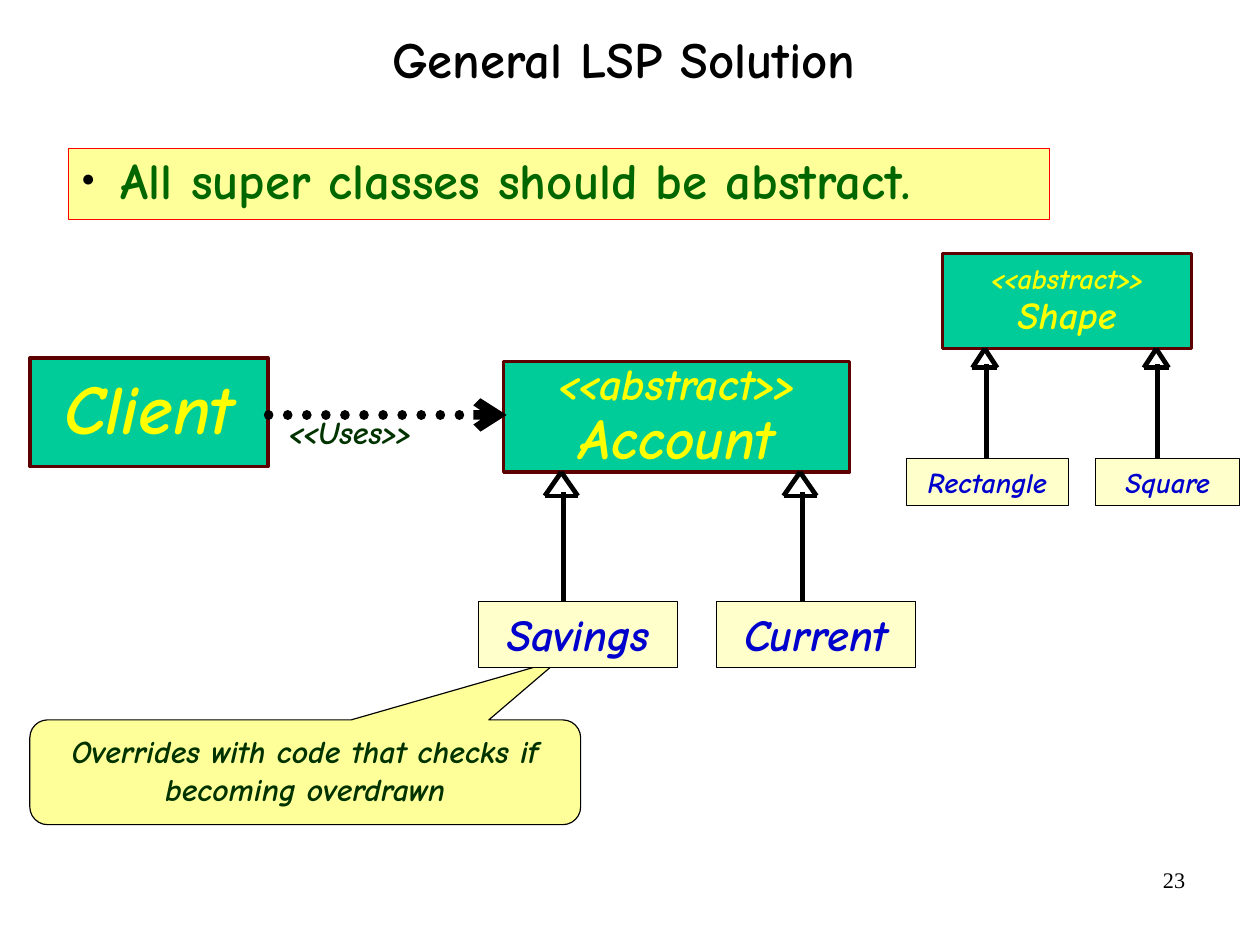
from lxml import etree
from pptx import Presentation
from pptx.dml.color import RGBColor
from pptx.enum import dml, shapes, text
from pptx.oxml import ns
from pptx.util import Pt

BLACK = RGBColor(0x00, 0x00, 0x00)
RED = RGBColor(0xFF, 0x00, 0x00)
YELLOW = RGBColor(0xFF, 0xFF, 0x00)
PALE_YELLOW = RGBColor(0xFF, 0xFF, 0x99)
CREAM = RGBColor(0xFF, 0xFF, 0xCC)
TEAL = RGBColor(0x00, 0xCC, 0x99)
MAROON = RGBColor(0x5C, 0x00, 0x00)
BLUE = RGBColor(0x00, 0x00, 0xCC)
GREEN = RGBColor(0x00, 0x66, 0x00)
DARK_GREEN = RGBColor(0x00, 0x33, 0x00)

SHAPE = shapes.MSO_SHAPE
ALIGN = text.PP_ALIGN
ANCHOR = text.MSO_ANCHOR
HAND = "Comic Neue"
INSET = (8, 4, 8, 4)


def set_all(target, **values):
    for name, value in values.items():
        setattr(target, name, value)


def place(box, area):
    for name, value in zip(("left", "top", "width", "height"), area):
        setattr(box, name, Pt(value))


def paint(box, fill, line, width):
    box.fill.solid()
    box.fill.fore_color.rgb = fill
    box.line.color.rgb = line
    box.line.width = Pt(width)


def write(box, lines, color, align=ALIGN.CENTER, anchor=ANCHOR.TOP, inset=INSET,
          spacing=1.0, name=HAND, bold=True, italic=True):
    """Fill a box with (wording, size) paragraphs."""
    frame = box.text_frame
    set_all(frame, word_wrap=True, auto_size=text.MSO_AUTO_SIZE.NONE, vertical_anchor=anchor)
    for side, value in zip(("left", "top", "right", "bottom"), inset):
        setattr(frame, f"margin_{side}", Pt(value))
    for index, (wording, size) in enumerate(lines):
        para = frame.add_paragraph() if index else frame.paragraphs[0]
        set_all(para, alignment=align, line_spacing=spacing, space_before=Pt(0))
        span = para.add_run()
        span.text = wording
        set_all(span.font, name=name, size=Pt(size), bold=bold, italic=italic)
        span.font.color.rgb = color


def add_box(page, area, fill, line, width, kind=SHAPE.RECTANGLE):
    box = page.shapes.add_shape(kind, *map(Pt, area))
    box.shadow.inherit = False
    paint(box, fill, line, width)
    return box


def add_line(page, start, end, width=3):
    line = page.shapes.add_connector(shapes.MSO_CONNECTOR.STRAIGHT, *map(Pt, (*start, *end)))
    line.line.color.rgb = BLACK
    line.line.width = Pt(width)
    etree.SubElement(line._element.spPr, ns.qn("a:effectLst"))
    return line


def add_title(page, area):
    place(page.shapes.title, area)
    write(page.shapes.title, [("General LSP Solution", 32)], BLACK, anchor=ANCHOR.MIDDLE,
          inset=(0, 0, 0, 0), spacing=0.88, italic=False)


def add_rule(page, area):
    body = page.placeholders[1]
    place(body, area)
    paint(body, PALE_YELLOW, RED, 0.75)
    write(body, [("All super classes should be abstract.", 32)], GREEN,
          align=ALIGN.LEFT, inset=(0, 0, 0, 0), italic=False)
    para = body.text_frame.paragraphs[0]
    para.space_after = Pt(13.8)
    props = para._p.get_or_add_pPr()
    props.set("marL", str(Pt(33)))
    props.set("indent", str(Pt(-25)))
    color = etree.SubElement(props, ns.qn("a:buClr"))
    etree.SubElement(color, ns.qn("a:srgbClr"), val=str(BLACK))
    etree.SubElement(props, ns.qn("a:buSzPct"), val="45000")
    etree.SubElement(props, ns.qn("a:buChar"), char="●")


def add_class(page, area, lines):
    box = add_box(page, area, TEAL, MAROON, 2)
    write(box, lines, YELLOW, anchor=ANCHOR.MIDDLE, spacing=0.9)


def add_inheritance(page, tip, head, bottom, shift):
    """Draw a hollow triangle below its tip, and a stem down to the subclass."""
    x, y = tip
    half, height = head
    add_line(page, (x + shift, y + height - 2.5), (x + shift, bottom))
    corners = [tip, (x + half, y + height), (x - half, y + height)]
    for index, corner in enumerate(corners):
        add_line(page, corners[index - 1], corner)


def add_hierarchy(page, area, parent, children, size, head, shift):
    """Draw a superclass with (name, area, tip x) subclasses under it."""
    add_class(page, area, parent)
    base = area[1] + area[3]
    for name, child_area, tip_x in children:
        box = add_box(page, child_area, CREAM, BLACK, 0.75)
        write(box, [(name, size)], BLUE)
        add_inheritance(page, (tip_x, base), head, child_area[1], shift)


def add_uses(page, area):
    """Draw the dotted arrow along the top of the area, with its label below."""
    left, top, width, height = area
    arrow = add_line(page, (left, top), (left + width, top), 6)
    arrow.line.dash_style = dml.MSO_LINE.ROUND_DOT
    line = arrow.line._get_or_add_ln()
    line.set("cap", "rnd")
    etree.SubElement(line, ns.qn("a:tailEnd"), type="arrow")
    label = page.shapes.add_textbox(*map(Pt, (left + 6, top, width - 24, height)))
    write(label, [("<<Uses>>", 20)], DARK_GREEN, align=ALIGN.LEFT,
          inset=(7.2, 3.6, 7.2, 3.6), spacing=0.8)


def add_callout(page, area):
    box = add_box(page, area, PALE_YELLOW, BLACK, 0.75, SHAPE.ROUNDED_RECTANGULAR_CALLOUT)
    for index, value in enumerate((0.46, -1.07, 0.17)):
        box.adjustments[index] = value
    write(box, [("Overrides with code that checks if becoming overdrawn", 20)], DARK_GREEN)


def add_page_number(page, area):
    box = page.shapes.add_textbox(*map(Pt, area))
    write(box, [("23", 14)], BLACK, align=ALIGN.RIGHT, inset=(7.2, 3.6, 7.2, 3.6),
          name="Times New Roman", bold=False, italic=False)


def main():
    deck = Presentation()
    set_all(deck, slide_width=Pt(793.75), slide_height=Pt(595.25))
    page = deck.slides.add_slide(deck.slide_layouts[1])
    add_page_number(page, (568.8, 542.2, 185, 41))
    add_title(page, (54.7, -10.1, 676.8, 98.6))
    add_rule(page, (43.2, 93.6, 617.8, 44.6))
    add_callout(page, (18.8, 453.5, 347, 66))
    add_class(page, (18.9, 225.5, 150, 68.4), [("Client", 44)])
    add_hierarchy(page, (317.3, 227.5, 218, 69.9), [("<<abstract>>", 28), ("Account", 36)],
                  [("Savings", (301.5, 378.7, 125.5, 42), 353.6),
                   ("Current", (451.3, 378.7, 125.3, 42), 504)],
                  28, (10.4, 15), 1.6)
    add_uses(page, (169.2, 261.4, 150, 26.6))
    add_hierarchy(page, (593.8, 159.7, 157, 60), [("<<abstract>>", 18), ("Shape", 24)],
                  [("Rectangle", (571, 288.7, 102, 29.6), 620.4),
                   ("Square", (690.4, 288.7, 90.7, 29.6), 728.4)],
                  18, (7.8, 12), 1)
    deck.save("out.pptx")


if __name__ == "__main__":
    main()
